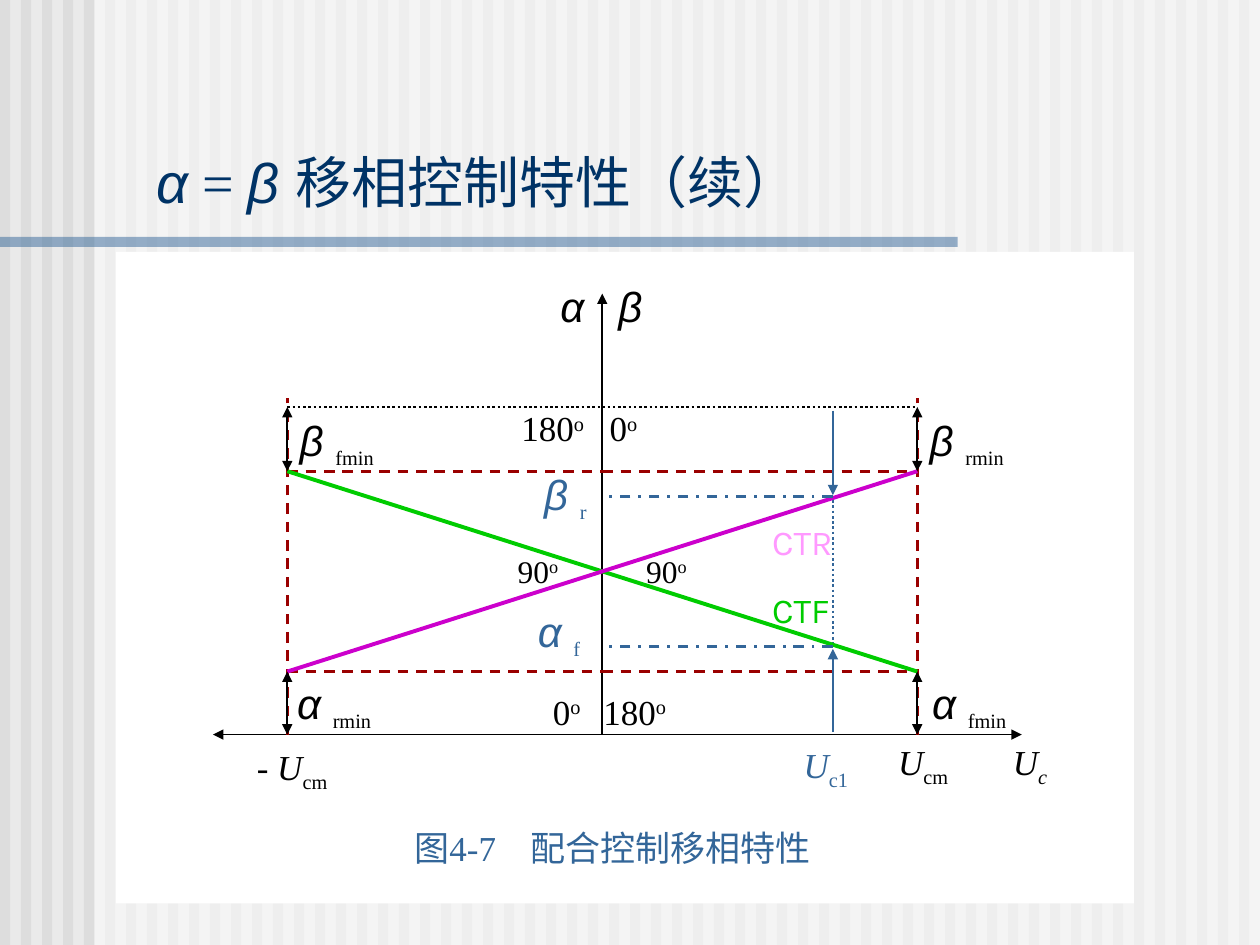
from lxml import etree
from pptx import Presentation, util as u
from pptx.dml.color import RGBColor
from pptx.enum import dml, shapes, text
from pptx.oxml import parse_xml
from pptx.oxml.ns import nsdecls, qn

BLACK, BLUE, NAVY, RED = "000000", "336699", "003366", "9A0000"
GREEN, PURPLE, PINK = "00CC00", "CC00CC", "FF99FF"
SERIF, SANS, KARLA = "Times New Roman", "Arial", "Karla"
DASH = dml.MSO_LINE.DASH
DOT = dml.MSO_LINE.ROUND_DOT
DASH_DOT = dml.MSO_LINE.DASH_DOT


def color(value):
    return RGBColor.from_string(value)


def add_bar(slide, x, y, w, h, fill, opacity=None):
    bar = slide.shapes.add_shape(shapes.MSO_SHAPE.RECTANGLE, u.Inches(x),
                                 u.Inches(y), u.Inches(w), u.Inches(h))
    bar.shadow.inherit = False
    bar.line.fill.background()
    bar.fill.solid()
    bar.fill.fore_color.rgb = color(fill)
    if opacity:
        tint = bar.fill._xPr.find(".//" + qn("a:srgbClr"))
        etree.SubElement(tint, qn("a:alpha"), val=str(opacity * 1000))


def add_line(slide, start, end, stroke, width, dash=None, arrows=()):
    """arrows holds headEnd (at start) and/or tailEnd (at end)."""
    line = slide.shapes.add_connector(shapes.MSO_CONNECTOR.STRAIGHT,
                                      *map(u.Inches, (*start, *end)))
    line.line.color.rgb = color(stroke)
    line.line.width = u.Pt(width)
    if dash:
        line.line.dash_style = dash
    for arrow in arrows:
        etree.SubElement(line.line._ln, qn("a:" + arrow), type="triangle")
    line._element.spPr.append(parse_xml(f"<a:effectLst {nsdecls('a')}/>"))


def add_label(slide, x, y, w, h, runs, ink, tab=None, wrap=True):
    """Each run is (text, size, font, italic, baseline in percent)."""
    label = slide.shapes.add_textbox(*map(u.Inches, (x, y, w, h)))
    frame = label.text_frame
    frame.word_wrap = wrap
    frame.auto_size = text.MSO_AUTO_SIZE.NONE
    paragraph = frame.paragraphs[0]
    if tab:
        stops = etree.SubElement(paragraph._p.get_or_add_pPr(), qn("a:tabLst"))
        etree.SubElement(stops, qn("a:tab"), pos=str(u.Inches(tab)), algn="l")
    for words, size, font, italic, baseline in runs:
        run = paragraph.add_run()
        run.text = words
        run.font.size = u.Pt(size)
        run.font.name = font
        run.font.italic = italic
        run.font.color.rgb = color(ink)
        if baseline:
            run.font._element.set("baseline", str(baseline * 1000))


def greek(letter, subscript):
    return [(letter + " ", 24, SANS, True, 0), (subscript, 20, SERIF, False, -25)]


def voltage(name, subscript, italic=False):
    return [(name, 20, SERIF, True, 0), (subscript, 20, SERIF, italic, -25)]


def degrees(number, size=20):
    return [(number, size, SERIF, False, 0), ("o", size, SERIF, False, 30)]


def add_background(slide, width, height):
    slide.background.fill.solid()
    slide.background.fill.fore_color.rgb = color("EAEAEA")
    for stripe in range(60):
        add_bar(slide, stripe * width / 60, 0, 0.08, height, "DDDDDD")
    add_bar(slide, 0.75, 0, width - 0.75, height, "FFFFFF", 50)


def add_title(slide, x, y, w, h):
    add_bar(slide, 0, y + 0.76, 7.6, 0.08, BLUE, 50)
    add_label(slide, x, y, w, h, [
        ("α", 32, SANS, True, 0), (" = ", 32, SERIF, False, 0),
        ("β ", 32, SANS, True, 0), ("移相控制特性（续）", 32, SERIF, False, 0),
    ], NAVY, wrap=False)


def add_characteristic(slide, x, y, w, h):
    add_bar(slide, x, y, w, h, "FFFFFF")

    # Positions of the voltages and angles in the plot
    minus, zero, control, plus = (x + d for d in (1.36, 3.86, 5.69, 6.36))
    top, high, low, axis = (y + d for d in (1.23, 1.74, 3.33, 3.83))
    beta_r, alpha_f = y + 1.94, y + 3.13

    # Caption
    add_label(slide, x + 2.27, y + 4.51, 3.42, 0.5,
              [("图4-7\t配合控制移相特性", 20, SERIF, False, 0)], BLUE, tab=0.92)

    # Axes
    add_label(slide, zero - 0.43, y + 0.18, 1, 0.9,
              [("α\tβ", 24, SANS, True, 0)], BLACK, tab=0.46)
    add_line(slide, (x + 0.77, axis), (x + 7.19, axis), BLACK, 1,
             arrows=("headEnd", "tailEnd"))
    add_line(slide, (zero, axis), (zero, y + 0.33), BLACK, 1, arrows=("tailEnd",))

    # Voltage labels
    for left, drop, runs, ink in (
            (minus - 0.34, 0.04, voltage("- U", "cm"), BLACK),
            (control - 0.33, 0.02, voltage("U", "c1"), BLUE),
            (plus - 0.25, 0, voltage("U", "cm"), BLACK),
            (x + 7.02, 0, voltage("U", "c", True), BLACK)):
        add_label(slide, left, axis + drop, 1, 0.48, runs, ink)

    # Angle values beside the vertical axis
    for left in (zero - 0.77, zero + 0.25):
        add_label(slide, left, y + 2.33, 0.58, 0.4, degrees("90", 18), BLACK)
    for left, offset, first, second, tab in (
            (zero - 0.74, 1.18, "180", "\t0", 0.7),
            (zero - 0.49, 3.43, "0", "\t180", 0.4)):
        add_label(slide, left, y + offset, 1.67, 0.44,
                  degrees(first) + degrees(second), BLACK, tab=tab)

    # Angle names
    for left, level, letter, subscript, ink in (
            (minus, top + 0.01, "β", "fmin", BLACK),
            (plus, top + 0.01, "β", "rmin", BLACK),
            (minus - 0.02, low, "α", "rmin", BLACK),
            (plus + 0.02, low, "α", "fmin", BLACK),
            (zero - 0.56, high - 0.07, "β", "r", BLUE),
            (zero - 0.61, low - 0.57, "α", "f", BLUE)):
        add_label(slide, left, level, 1.08, 0.54, greek(letter, subscript), ink)

    # Curve names
    for name, offset, ink in (("CTR", 2.08, PINK), ("CTF", 2.62, GREEN)):
        add_label(slide, control - 0.58, y + offset, 0.75, 0.44,
                  [(name, 20, KARLA, False, 0)], ink)

    # Limits of the working range
    add_line(slide, (control, beta_r + 0.03), (control, alpha_f), BLUE, 1.5, DOT)
    for level, ink, dash in ((low, RED, DASH), (high, RED, DASH), (top, BLACK, DOT)):
        for start, end in ((minus, zero), (zero, plus)):
            add_line(slide, (start, level), (end, level), ink, 1.5, dash)
    for edge in (minus, plus):
        add_line(slide, (edge, axis), (edge, top - 0.07), RED, 1.5, DASH)

    # Control curves
    add_line(slide, (minus, high), (plus, low), GREEN, 2.25)
    add_line(slide, (minus, low), (plus, high), PURPLE, 2.25)

    # Minimum angles
    for edge in (minus, plus):
        for start, end in ((low, axis), (top, high)):
            add_line(slide, (edge, start), (edge, end), BLACK, 1,
                     arrows=("headEnd", "tailEnd"))

    # Angles at the control voltage
    for start, end in ((top + 0.03, beta_r - 0.01), (axis - 0.02, alpha_f + 0.02)):
        add_line(slide, (control, start), (control, end), BLUE, 1.5,
                 arrows=("tailEnd",))
    for level in (alpha_f, beta_r):
        add_line(slide, (control, level), (zero, level), BLUE, 1.5, DASH_DOT)


def main():
    deck = Presentation()
    deck.slide_width, deck.slide_height = u.Inches(10), u.Inches(7.5)
    slide = deck.slides.add_slide(deck.slide_layouts[6])
    add_background(slide, 10, 7.5)
    add_title(slide, 1.14, 1.12, 5.42, 0.64)
    add_characteristic(slide, 0.92, 2, 8.08, 5.17)
    deck.save("out.pptx")


if __name__ == "__main__":
    main()
